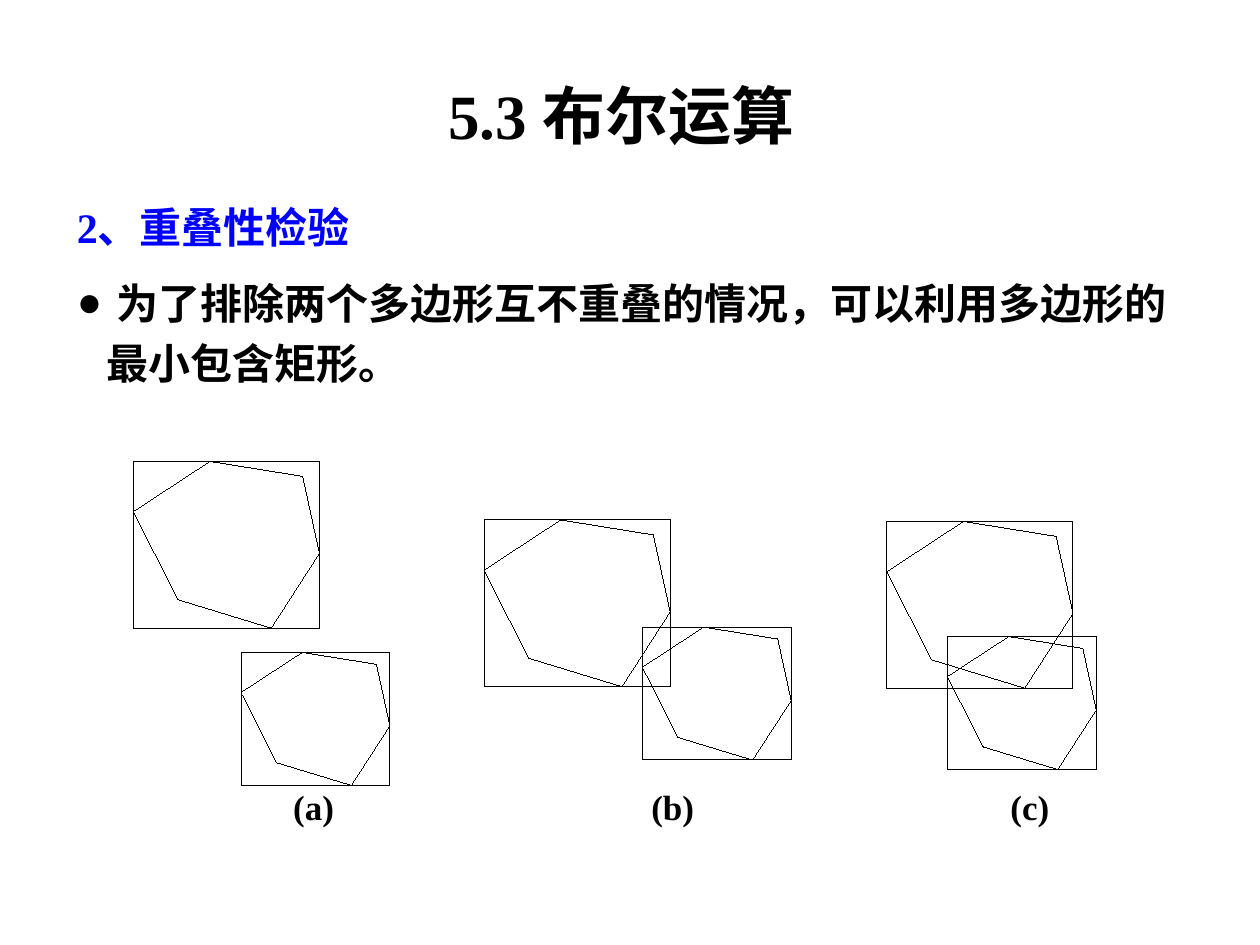
"""Builds a slide on overlap tests with minimal bounding rectangles."""
from dataclasses import dataclass

import pptx
import pptx.dml.color
import pptx.enum.shapes
import pptx.enum.text
import pptx.oxml
import pptx.oxml.ns
import pptx.util
from lxml import etree

Cm = pptx.util.Cm
Pt = pptx.util.Pt
qn = pptx.oxml.ns.qn

LATIN_FONT = "Times New Roman"
CHINESE_FONT = "Noto Sans CJK SC"
BLACK = "000000"
BLUE = "0000FF"
RECTANGLE = [(0, 0), (1, 0), (1, 1), (0, 1)]
HEXAGON = [(0.41, 0), (0.91, 0.09), (1, 0.55), (0.74, 1), (0.24, 0.83), (0, 0.3)]
LARGE = (3.75, 3.36)
SMALL = (3.0, 2.68)
LABEL_TOP = 15.72


@dataclass
class Figure:
    label: str
    label_left: float
    large_corner: tuple[float, float]
    small_corner: tuple[float, float]


FIGURES = [
    Figure("(a)", 5.66, (2.69, 9.3), (4.86, 13.15)),
    Figure("(b)", 12.88, (9.76, 10.48), (12.95, 12.64)),
    Figure("(c)", 20.12, (17.88, 10.51), (19.1, 12.83)),
]


def set_color(color_format, value: str) -> None:
    color_format.rgb = pptx.dml.color.RGBColor.from_string(value)


def write_text(paragraph, text: str, *, size: float, font: str = LATIN_FONT,
               color: str = BLACK, line_spacing: float = 1.0,
               space_before: float = 0) -> None:
    paragraph.line_spacing = line_spacing
    paragraph.space_before = Pt(space_before)
    run = paragraph.add_run()
    run.text = text
    run.font.size = Pt(size)
    run.font.bold = True
    run.font.name = font
    set_color(run.font.color, color)
    east_asian = etree.SubElement(run._r.get_or_add_rPr(), qn("a:ea"))
    east_asian.set("typeface", CHINESE_FONT)


def add_bullet(paragraph, character: str, indent: float) -> None:
    properties = paragraph._p.get_or_add_pPr()
    properties.set("marL", str(Cm(indent)))
    properties.set("indent", str(-Cm(indent)))
    bullet_color = etree.SubElement(properties, qn("a:buClr"))
    etree.SubElement(bullet_color, qn("a:srgbClr")).set("val", BLACK)
    etree.SubElement(properties, qn("a:buFont")).set("typeface", LATIN_FONT)
    etree.SubElement(properties, qn("a:buChar")).set("char", character)


def add_text_frame(shapes, left: float, top: float, width: float, height: float):
    box = shapes.add_textbox(Cm(left), Cm(top), Cm(width), Cm(height))
    box.text_frame.word_wrap = True
    return box.text_frame


def draw_hairline(shapes, start: tuple, end: tuple) -> None:
    connector = shapes.add_connector(pptx.enum.shapes.MSO_CONNECTOR.STRAIGHT,
                                     *start, *end)
    set_color(connector.line.color, BLACK)
    properties = connector._element.spPr
    properties.find(qn("a:ln")).set("w", "0")
    etree.SubElement(properties, qn("a:effectLst"))


def draw_polygon(shapes, vertices: list, corner: tuple[float, float],
                 size: tuple[float, float]) -> None:
    left, top = corner
    width, height = size
    points = [(Cm(left + x * width), Cm(top + y * height)) for x, y in vertices]
    for start, end in zip(points, points[1:] + points[:1]):
        draw_hairline(shapes, start, end)


def draw_figure(slide, figure: Figure) -> None:
    shapes = slide.shapes.add_group_shape().shapes
    for corner, size in ((figure.large_corner, LARGE), (figure.small_corner, SMALL)):
        for vertices in (RECTANGLE, HEXAGON):
            draw_polygon(shapes, vertices, corner, size)
    frame = add_text_frame(shapes, figure.label_left, LABEL_TOP, 2, 1.22)
    write_text(frame.paragraphs[0], figure.label, size=20)


def write_title(slide) -> None:
    title = slide.shapes.title
    title.left, title.top = Cm(1.73), Cm(0.71)
    title.width, title.height = Cm(21.59), Cm(3.18)
    title.text_frame.vertical_anchor = pptx.enum.text.MSO_ANCHOR.MIDDLE
    paragraph = title.text_frame.paragraphs[0]
    paragraph.alignment = pptx.enum.text.PP_ALIGN.CENTER
    write_text(paragraph, "5.3 布尔运算", size=36)


def write_body(slide) -> None:
    frame = add_text_frame(slide.shapes, 1.3, 3.73, 23.01, 4.24)
    write_text(frame.paragraphs[0], "2、重叠性检验", size=24, color=BLUE,
               line_spacing=1.2)
    paragraph = frame.add_paragraph()
    write_text(paragraph,
               " 为了排除两个多边形互不重叠的情况，可以利用多边形的最小包含矩形。",
               size=24, font=CHINESE_FONT, line_spacing=1.2, space_before=9)
    add_bullet(paragraph, "●", 0.6)


def main() -> None:
    presentation = pptx.Presentation()
    presentation.slide_width, presentation.slide_height = Cm(25.4), Cm(19.05)
    slide = presentation.slides.add_slide(presentation.slide_layouts[5])
    write_title(slide)
    write_body(slide)
    for figure in FIGURES:
        draw_figure(slide, figure)
    presentation.save("out.pptx")


if __name__ == "__main__":
    main()
